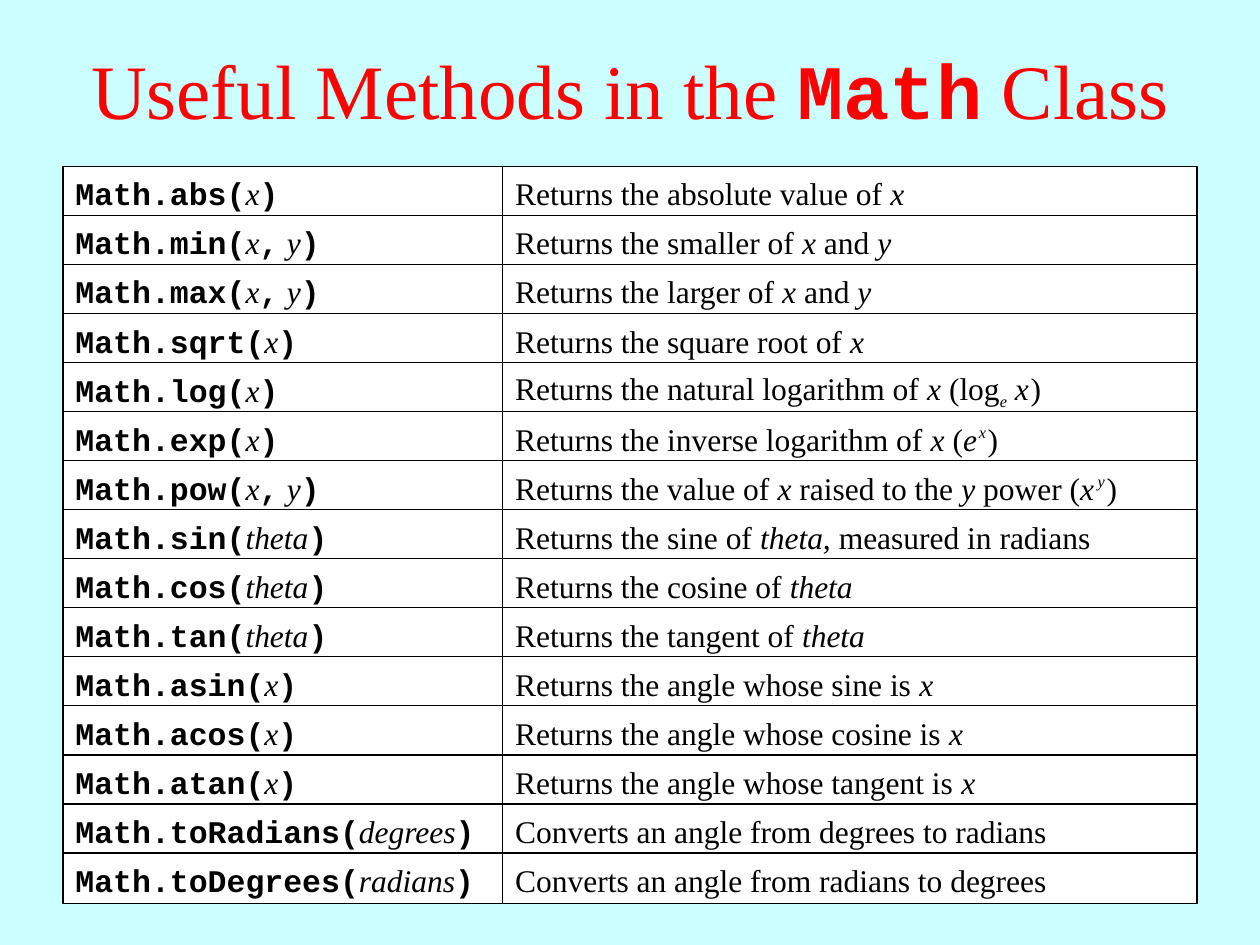
from dataclasses import dataclass

from pptx import Presentation
from pptx.dml.color import RGBColor as Rgb
from pptx.enum.shapes import MSO_SHAPE as Shape
from pptx.enum.text import MSO_ANCHOR as Anchor, PP_ALIGN as Align
from pptx.util import Inches, Pt


@dataclass(frozen=True)
class Theme:
    background: Rgb = Rgb(0xCC, 0xFF, 0xFF)
    title: Rgb = Rgb(0xFF, 0x00, 0x00)
    ink: Rgb = Rgb(0x00, 0x00, 0x00)
    cell: Rgb = Rgb(0xFF, 0xFF, 0xFF)
    prose: str = "Times New Roman"
    code: str = "Courier New"
    title_size: float = 44
    body_size: float = 18
    script_size: float = 16
    comma_gap: float = 8
    thin_gap: float = 4
    border: float = 0.75


THEME = Theme()
WIDTH, HEIGHT = 10, 7.5
MARGIN = WIDTH * 0.05
FIRST_ROW, LAST_ROW, CELL_HEIGHT = 1.32, 6.77, 0.4
CALL_WIDTH = 3.49
TEXT_LEFT = MARGIN + CALL_WIDTH
TEXT_WIDTH = WIDTH - MARGIN - TEXT_LEFT

# In descriptions, *...* is italic, *_...* subscript, *^...* superscript,
# and each ~ in *~* widens a thin gap by one step.
METHODS = [
    ("abs", ["x"], "Returns the absolute value of *x*"),
    ("min", ["x", "y"], "Returns the smaller of *x* and *y*"),
    ("max", ["x", "y"], "Returns the larger of *x* and *y*"),
    ("sqrt", ["x"], "Returns the square root of *x*"),
    ("log", ["x"], "Returns the natural logarithm of *x* (log*_e* *x**~*)"),
    ("exp", ["x"], "Returns the inverse logarithm of *x* (*e**~**^x**~*)"),
    ("pow", ["x", "y"],
     "Returns the value of *x* raised to the *y* power (*x**~~**^y**~*)"),
    ("sin", ["theta"], "Returns the sine of *theta,* measured in radians"),
    ("cos", ["theta"], "Returns the cosine of *theta*"),
    ("tan", ["theta"], "Returns the tangent of *theta*"),
    ("asin", ["x"], "Returns the angle whose sine is *x*"),
    ("acos", ["x"], "Returns the angle whose cosine is *x*"),
    ("atan", ["x"], "Returns the angle whose tangent is *x*"),
    ("toRadians", ["degrees"], "Converts an angle from degrees to radians"),
    ("toDegrees", ["radians"], "Converts an angle from radians to degrees"),
]
ROW_PITCH = (LAST_ROW - FIRST_ROW) / (len(METHODS) - 1)


def add_run(paragraph, text, size=THEME.body_size, color=THEME.ink,
            code=False, italic=False, baseline=0):
    """Add one run; code is bold monospace, baseline is a percentage shift."""
    run = paragraph.add_run()
    run.text = text
    font = run.font
    font.name = THEME.code if code else THEME.prose
    font.size = Pt(size)
    font.bold, font.italic = code, italic
    font.color.rgb = color
    if baseline:
        font._element.set("baseline", str(baseline * 1000))


def write_call(paragraph, method, arguments):
    add_run(paragraph, f"Math.{method}(", code=True)
    for position, argument in enumerate(arguments):
        if position:
            add_run(paragraph, ",", code=True)
            add_run(paragraph, " ", size=THEME.comma_gap, code=True)
        add_run(paragraph, argument, italic=True)
    add_run(paragraph, ")", code=True)


def write_description(paragraph, description):
    for position, part in enumerate(description.split("*")):
        italic = position % 2 == 1
        if part.startswith("~"):
            add_run(paragraph, " ", size=THEME.thin_gap * len(part), italic=True)
        elif part.startswith(("_", "^")):
            add_run(paragraph, part[1:], size=THEME.script_size, italic=True,
                    baseline=-25 if part[0] == "_" else 45)
        elif part:
            add_run(paragraph, part, italic=italic)


def add_cell(slide, left, top, width):
    """Add a bordered box and return its empty paragraph."""
    cell = slide.shapes.add_shape(Shape.RECTANGLE, Inches(left), Inches(top),
                                  Inches(width), Inches(CELL_HEIGHT))
    cell.shadow.inherit = False
    cell.fill.solid()
    cell.fill.fore_color.rgb = THEME.cell
    cell.line.color.rgb = THEME.ink
    cell.line.width = Pt(THEME.border)
    frame = cell.text_frame
    frame.word_wrap = False
    frame.vertical_anchor = Anchor.MIDDLE
    frame.margin_left = frame.margin_right = Inches(0.1)
    frame.margin_top, frame.margin_bottom = Inches(0.05), Inches(0.02)
    paragraph = frame.paragraphs[0]
    paragraph.alignment = Align.LEFT
    return paragraph


def add_title(slide):
    title = slide.shapes.title
    title.left, title.top = 0, Inches(0.08)
    title.width, title.height = Inches(WIDTH), Inches(1.25)
    title.text_frame.vertical_anchor = Anchor.MIDDLE
    heading = title.text_frame.paragraphs[0]
    heading.alignment = Align.CENTER
    for text, code in (("Useful Methods in the ", False), ("Math", True),
                       (" Class", False)):
        add_run(heading, text, size=THEME.title_size, color=THEME.title, code=code)


def add_method_grid(slide):
    for row, (method, arguments, description) in enumerate(METHODS):
        top = FIRST_ROW + row * ROW_PITCH
        write_call(add_cell(slide, MARGIN, top, CALL_WIDTH), method, arguments)
        write_description(add_cell(slide, TEXT_LEFT, top, TEXT_WIDTH), description)


def main():
    deck = Presentation()
    deck.slide_width, deck.slide_height = Inches(WIDTH), Inches(HEIGHT)
    slide = deck.slides.add_slide(deck.slide_layouts[5])
    slide.background.fill.solid()
    slide.background.fill.fore_color.rgb = THEME.background
    add_title(slide)
    add_method_grid(slide)
    deck.save("out.pptx")


if __name__ == "__main__":
    main()
